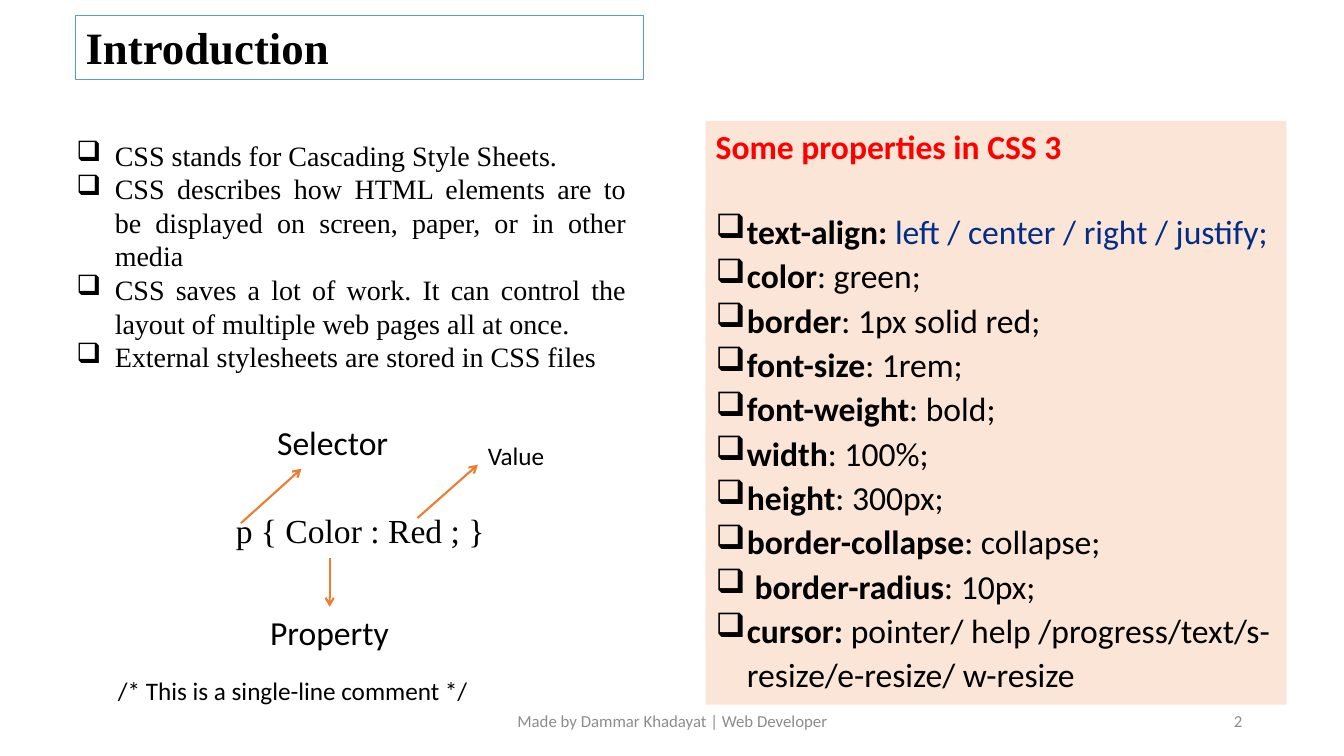
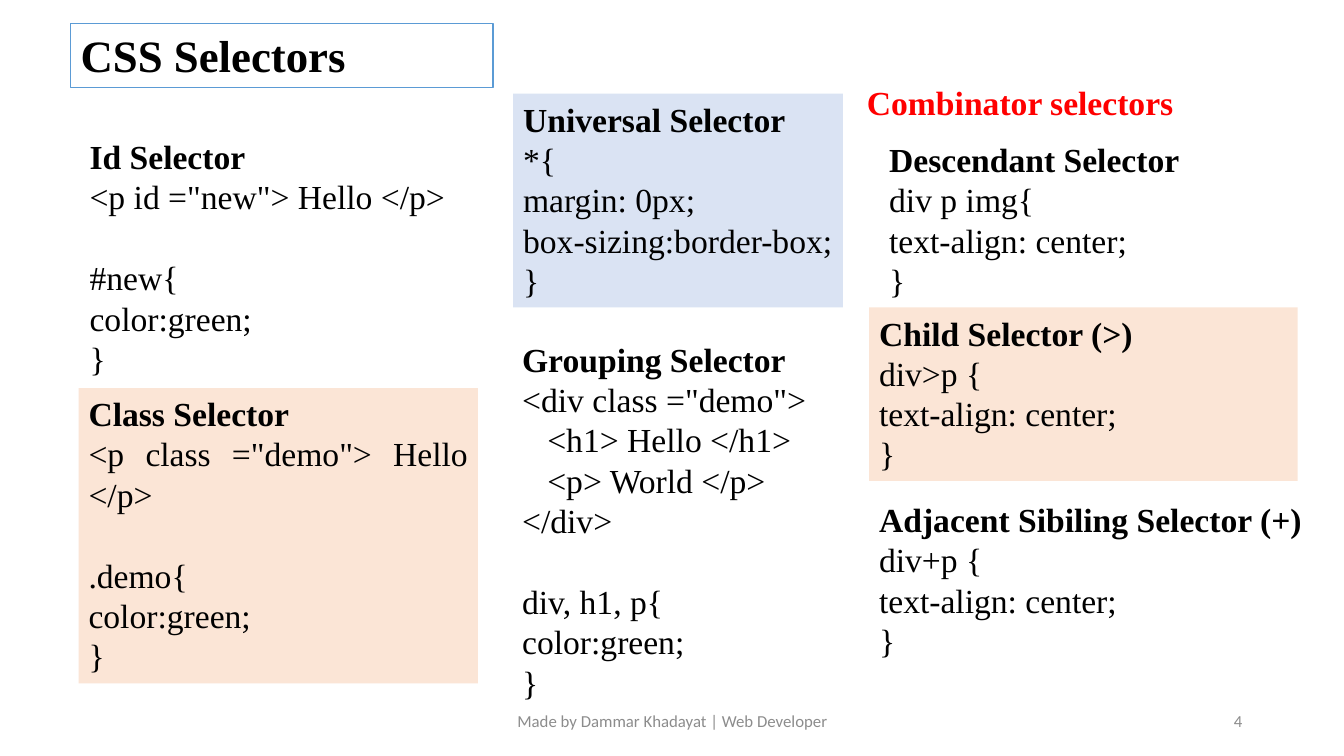
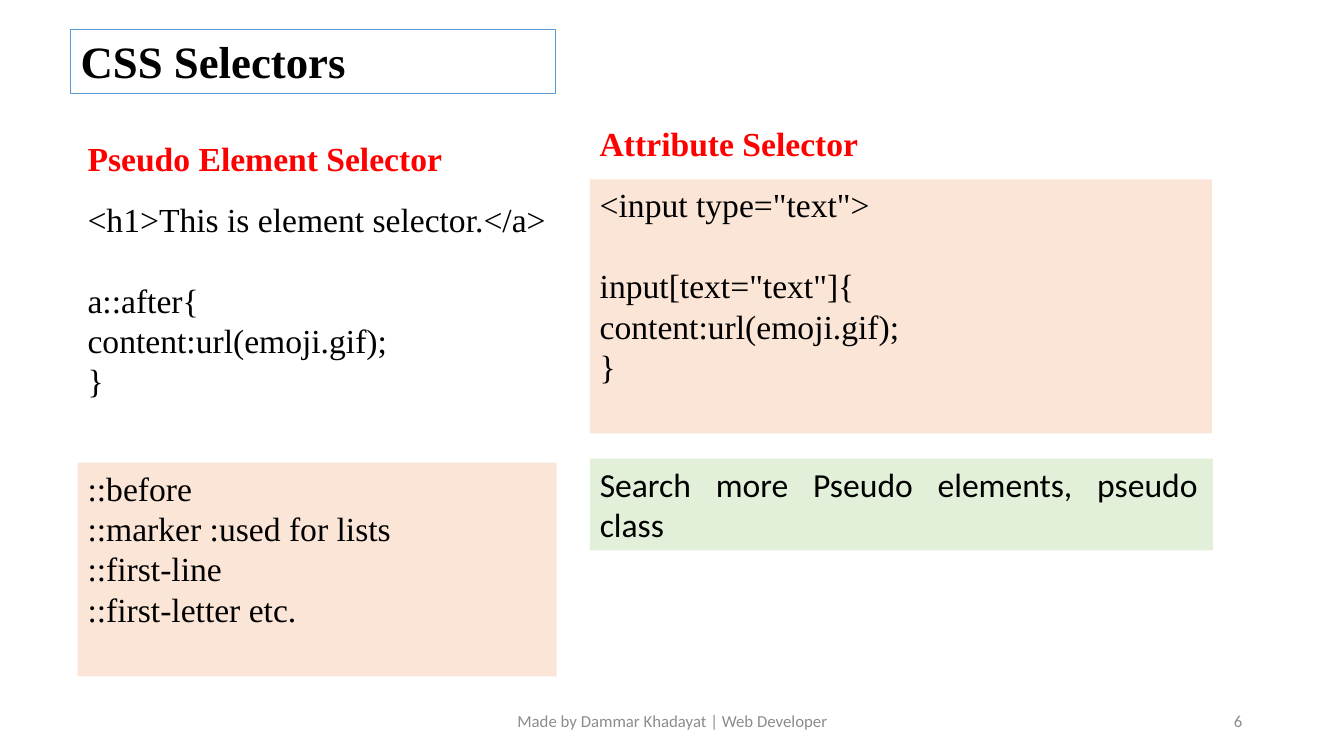
from pptx import Presentation
from pptx.dml.color import RGBColor
from pptx.enum.shapes import MSO_CONNECTOR, MSO_SHAPE
from pptx.enum.text import MSO_ANCHOR, PP_ALIGN
from pptx.oxml.ns import qn
from pptx.util import Inches, Pt
from lxml.etree import SubElement

# Shared look
SERIF, SANS = "Times New Roman", "Calibri"
BLACK, RED, NAVY, GRAY = "000000", "FF0000", "012D86", "8C8C8C"
PEACH, SKY, MINT, WHITE = "FBE5D6", "DAE3F3", "E2F0D9", "FFFFFF"
BLUE, ORANGE = "5B9BD5", "ED7D31"
GAP = 29  # one empty line, in points
FOOTER = "Made by Dammar Khadayat | Web Developer"
ALIGN = {"l": PP_ALIGN.LEFT, "c": PP_ALIGN.CENTER,
         "r": PP_ALIGN.RIGHT, "j": PP_ALIGN.JUSTIFY}

# Content: a line is a text or a list of (text, format) runs; "" leaves a gap
BOLD, HOT, INK = {"bold": True}, {"bold": True, "color": RED}, {"color": NAVY}
CENTER = ["text-align: center;", "}"]
GREEN = ["color:green;", "}"]
EMOJI = ["content:url(emoji.gif);", "}"]

FACTS = [
    "CSS stands for Cascading Style Sheets.",
    "CSS describes how HTML elements are to be displayed on screen, paper, "
    "or in other media",
    "CSS saves a lot of work. It can control the layout of multiple web "
    "pages all at once.",
    "External stylesheets are stored in CSS files",
]
PROPS = [
    ("text-align:", " left / center / right / justify;", INK),
    ("color", ": green;", {}),
    ("border", ": 1px solid red;", {}),
    ("font-size", ": 1rem;", {}),
    ("font-weight", ": bold;", {}),
    ("width", ": 100%;", {}),
    ("height", ": 300px;", {}),
    ("border-collapse", ": collapse;", {}),
    (" border-radius", ": 10px;", {}),
    ("cursor:", " pointer/ help /progress/text/s-resize/e-resize/ w-resize", {}),
]


def head(text, *code, style=BOLD):
    return [[(text, style)], *code]


LISTED = head("Some properties in CSS 3", "", style=HOT)
LISTED += [[(name, BOLD), (value, style)] for name, value, style in PROPS]

# Each slide: number, title, title place, boxes (place, lines, options), arrows
SLIDES = [
    (2, "Introduction", (0.75, 0.15, 5.63, 0.64), [
        ((0.66, 1.32, 5.65, 2.46), FACTS,
         {"size": 20, "align": "j", "hang": 0.38}),
        ((2.24, 5.01, 2.67, 0.5), ["p { Color : Red ; }"], {"wrap": False}),
        ((2.65, 4.14, 1.3, 0.5), ["Selector"], {"face": SANS, "wrap": False}),
        ((2.58, 6.02, 1.38, 0.5), ["Property"], {"face": SANS, "wrap": False}),
        ((4.74, 4.32, 0.76, 0.4), ["Value"],
         {"face": SANS, "size": 18, "wrap": False}),
        ((7, 1.2, 5.76, 5.79), LISTED,
         {"face": SANS, "fill": PEACH, "hang": 0.31, "start": 1,
          "spacing": 1.1}),
        ((1.07, 6.65, 3.83, 0.4), ["/* This is a single-line comment */"],
         {"face": SANS, "size": 18}),
    ], [
        (2.39, 5.19, 2.99, 4.65),
        (3.27, 5.54, 3.27, 6.02),
        (4.14, 5.14, 4.74, 4.61),
    ]),
    (4, "CSS Selectors", (0.7, 0.23, 4.19, 0.64), [
        ((0.79, 1.3, 3.73, 2.52),
         head("Id Selector", '<p id ="new"> Hello </p>', "", "#new{", *GREEN),
         {"wrap": False}),
        ((0.78, 3.85, 3.96, 2.93),
         head("Class Selector", '<p class ="demo"> Hello </p>', "", ".demo{",
              *GREEN),
         {"fill": PEACH, "align": "j"}),
        ((5.08, 3.31, 3.28, 3.73),
         head("Grouping Selector", '<div class ="demo">', "   <h1> Hello </h1>",
              "   <p> World </p>", "</div>", "", "div, h1, p{", *GREEN), {}),
        ((5.09, 0.93, 3.27, 2.12),
         head("Universal Selector", "*{", "margin: 0px;",
              "box-sizing:border-box;", "}"),
         {"fill": SKY, "wrap": False}),
        ((8.72, 1.33, 4.22, 1.72),
         head("Descendant Selector", "div p img{", *CENTER), {}),
        ((8.62, 3.05, 4.25, 1.72),
         head("Child Selector (>)", "div>p {", *CENTER), {"fill": PEACH}),
        ((8.5, 0.76, 3.24, 0.5), head("Combinator selectors", style=HOT),
         {"fill": WHITE, "wrap": False}),
        ((8.62, 4.9, 4.39, 1.72),
         head("Adjacent Sibiling Selector (+)", "div+p {", *CENTER),
         {"wrap": False}),
    ], []),
    (6, "CSS Selectors", (0.7, 0.29, 4.81, 0.64), [
        ((0.77, 1.32, 4.5, 0.5), head("Pseudo Element Selector", style=HOT),
         {}),
        ((0.77, 1.92, 4.75, 2.52),
         ["<h1>This is element selector.</a>", "", "a::after{", *EMOJI],
         {"wrap": False}),
        ((5.85, 1.17, 3.5, 0.5), head("Attribute Selector", style=HOT), {}),
        ((5.85, 1.78, 6.17, 2.52),
         ['<input type="text">', "", 'input[text="text"]{', *EMOJI],
         {"fill": PEACH}),
        ((0.77, 4.59, 4.75, 2.12),
         ["::before", "::marker :used for lists", "::first-line",
          "::first-letter etc."], {"fill": PEACH}),
        ((5.85, 4.55, 6.18, 0.91),
         ["Search more Pseudo elements, pseudo class"],
         {"face": SANS, "fill": MINT, "align": "j", "pad": 0.15}),
    ], []),
]


def rgb(code):
    return RGBColor.from_string(code)


def bullet(para, hang):
    props = para._p.get_or_add_pPr()
    props.set("marL", str(Inches(hang)))
    props.set("indent", str(-Inches(hang)))
    SubElement(props, qn("a:buChar")).set("char", "❑")


def write(para, line, base):
    runs = [(line, {})] if isinstance(line, str) else line
    for text, style in runs:
        run = para.add_run()
        run.text = text
        for key, value in {**base, **style}.items():
            if key == "color":
                run.font.color.rgb = rgb(value)
            else:
                setattr(run.font, key, value)


def box(slide, place, lines, face=SERIF, size=24, color=BLACK, fill=None,
        edge=None, align="l", wrap=True, anchor=MSO_ANCHOR.TOP,
        hang=None, start=0, spacing=None, pad=0.1):
    area = [Inches(n) for n in place]
    if fill or edge:
        shape = slide.shapes.add_shape(MSO_SHAPE.RECTANGLE, *area)
        shape.shadow.inherit = False
        if fill:
            shape.fill.solid()
            shape.fill.fore_color.rgb = rgb(fill)
        else:
            shape.fill.background()
        if edge:
            shape.line.color.rgb = rgb(edge)
            shape.line.width = Pt(0.75)
        else:
            shape.line.fill.background()
    else:
        shape = slide.shapes.add_textbox(*area)
    frame = shape.text_frame
    frame.word_wrap = wrap
    frame.vertical_anchor = anchor
    frame.margin_right = Inches(pad)
    base = {"name": face, "size": Pt(size), "bold": False, "color": color}
    para, gap = None, False
    for index, line in enumerate(lines):
        if not line:
            gap = True
            continue
        para = frame.add_paragraph() if para else frame.paragraphs[0]
        if hang and index >= start:
            bullet(para, hang)
            if spacing:
                para.line_spacing = spacing
        if gap:
            para.space_before = Pt(GAP)
            gap = False
        para.alignment = ALIGN[align]
        write(para, line, base)


def arrow(slide, ends):
    link = slide.shapes.add_connector(
        MSO_CONNECTOR.STRAIGHT, *[Inches(n) for n in ends])
    link.line.color.rgb = rgb(ORANGE)
    link.line.width = Pt(1.5)
    SubElement(link.line._get_or_add_ln(), qn("a:tailEnd")).set("type", "arrow")
    SubElement(link._element.spPr, qn("a:effectLst"))


def frame_up(slide, number, title, place):
    """Title band, footer and slide number."""
    box(slide, place, head(title), size=32, edge=BLUE)
    small = {"face": SANS, "size": 12, "color": GRAY,
             "anchor": MSO_ANCHOR.MIDDLE}
    box(slide, (9.42, 6.95, 3, 0.4), [str(number)], align="r", **small)
    box(slide, (4.42, 6.95, 4.5, 0.4), [FOOTER], align="c", **small)


def main():
    deck = Presentation()
    deck.slide_width, deck.slide_height = Inches(13.33), Inches(7.5)
    for number, title, place, boxes, arrows in SLIDES:
        slide = deck.slides.add_slide(deck.slide_layouts[6])
        frame_up(slide, number, title, place)
        for spot, lines, options in boxes:
            box(slide, spot, lines, **options)
        for ends in arrows:
            arrow(slide, ends)
    deck.save("out.pptx")


if __name__ == "__main__":
    main()
